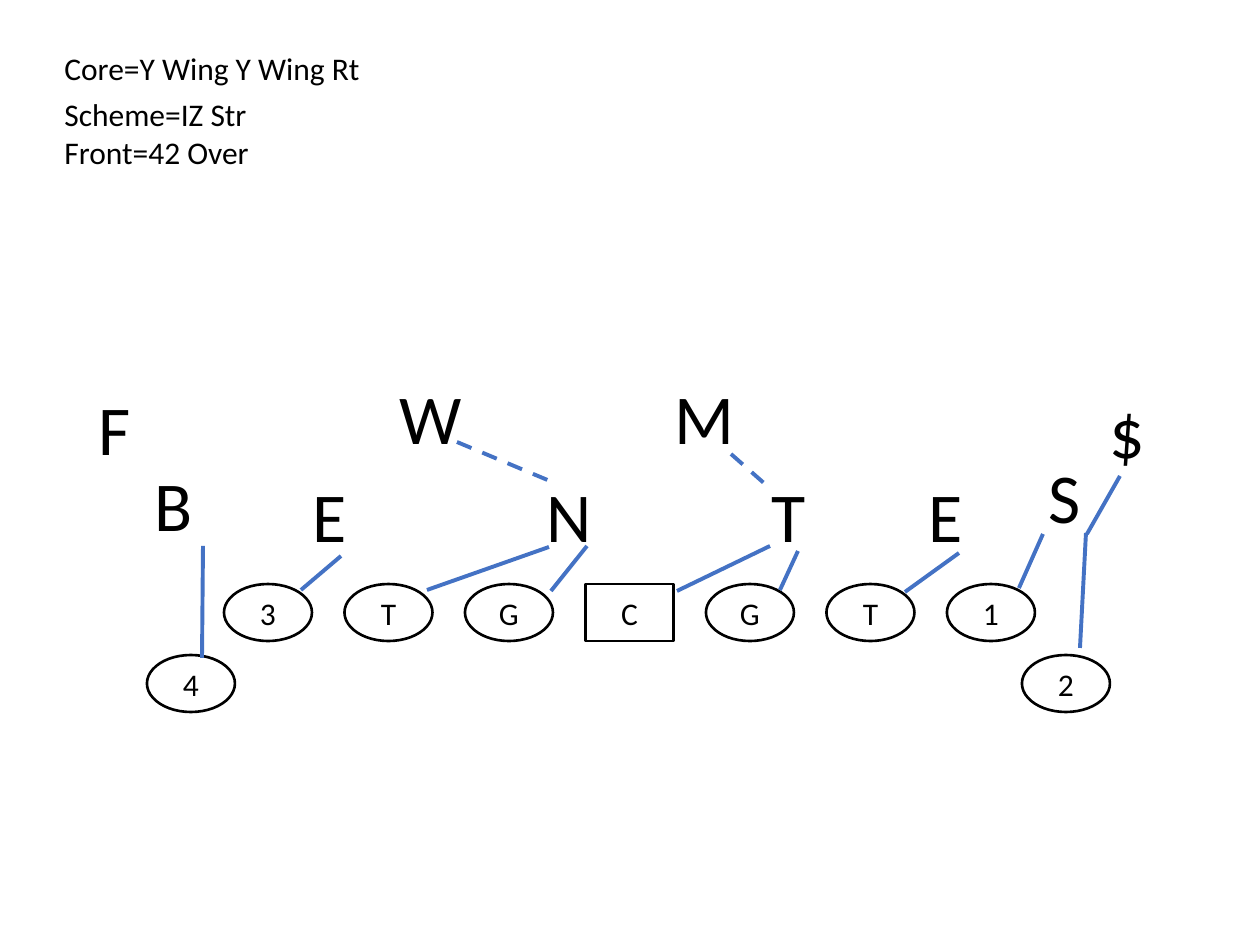
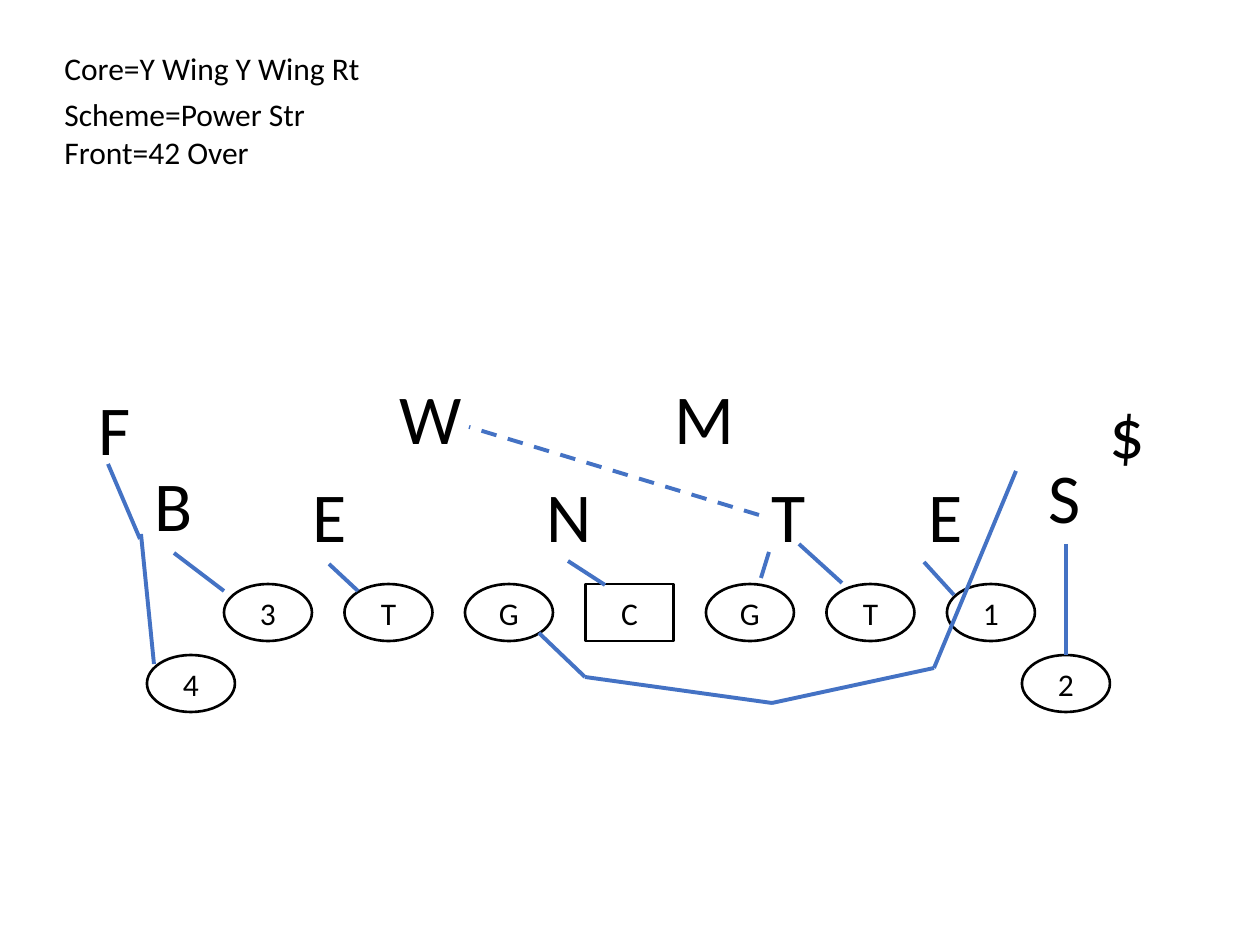
from itertools import pairwise

from lxml.etree import SubElement
from pptx import Presentation
from pptx.dml.color import RGBColor as Rgb
from pptx.enum.dml import MSO_LINE as Dash
from pptx.enum.shapes import MSO_CONNECTOR as Conn, MSO_SHAPE as Kind
from pptx.enum.text import MSO_ANCHOR as Anchor, MSO_AUTO_SIZE as Fit, PP_ALIGN as Align
from pptx.oxml.ns import qn
from pptx.util import Emu, Pt

COLORS = {"ink": "000000", "paper": "FFFFFF", "block": "4472C4"}
FONT = "Calibri"
NOTE_SIZE, SPOT_SIZE, MARK_SIZE = 18, 18, 40

# Offense: the line is evenly spaced, the wings stand a step back
SPOT_W, SPOT_H = 88, 57
LINE_LEFT, LINE_TOP, LINE_STEP = 224, 584, 120.5
LINEMEN = "3TGCGT1"
WINGS = [("4", 147), ("2", 1022)]
WING_TOP = 655

# Defense: letter, left, top, width
MARK_H = 97
DEFENSE = [
    ("F", 86, 379, 44), ("B", 142, 455, 64), ("E", 300, 466, 60),
    ("W", 387, 368, 88), ("N", 534, 466, 71), ("M", 662, 368, 88),
    ("T", 759, 466, 60), ("E", 916, 466, 60), ("S", 1036, 447, 60),
    ("$", 1097, 382, 49),
]

# Block paths run through points; reads are dashed
ZONE_BLOCKS = [
    [(1043, 534), (1019, 588)],
    [(1086, 533), (1080, 648)],
    [(1120, 476), (1087, 534)],
    [(959, 553), (905, 592)],
    [(798, 551), (780, 590)],
    [(770, 546), (677, 591)],
    [(587, 546), (551, 591)],
    [(549, 547), (427, 590)],
    [(341, 556), (301, 590)],
    [(203, 546), (202, 658)],
]
ZONE_READS = [[(731, 454), (765, 484)], [(457, 442), (557, 484)]]

POWER_BLOCKS = [
    [(329, 564), (358, 591)],
    [(568, 561), (605, 585)],
    [(924, 562), (954, 595)],
    [(174, 553), (224, 591)],
    [(141, 534), (154, 664)],
    [(140, 539), (108, 464)],
    [(769, 552), (761, 578)],
    [(799, 544), (842, 583)],
    [(539, 633), (585, 677), (772, 703), (934, 668), (1016, 471)],
]
POWER_READS = [[(759, 515), (469, 427)]]
WING_BLOCK = [(1066, 544), (1066, WING_TOP)]


def px(n):
    return Emu(round(n * 914400 / 126))


def color(name):
    return Rgb.from_string(COLORS[name])


def add_run(frame, text, size):
    run = frame.paragraphs[0].add_run()
    run.text = text
    run.font.name = FONT
    run.font.size = Pt(size)
    run.font.color.rgb = color("ink")


def add_label(slide, text, left, top, width, height, size, wrap):
    box = slide.shapes.add_textbox(px(left), px(top), px(width), px(height))
    frame = box.text_frame
    frame.word_wrap = wrap
    frame.auto_size = Fit.SHAPE_TO_FIT_TEXT
    add_run(frame, text, size)


def add_note(slide, text, top, width):
    add_label(slide, text, 52, top, width, 50, NOTE_SIZE, False)


def add_spot(slide, text, left, top):
    kind = Kind.RECTANGLE if text == "C" else Kind.OVAL
    spot = slide.shapes.add_shape(kind, px(left), px(top), px(SPOT_W), px(SPOT_H))
    spot.shadow.inherit = False
    spot.fill.solid()
    spot.fill.fore_color.rgb = color("paper")
    spot.line.color.rgb = color("ink")
    spot.line.width = Pt(1.5)
    frame = spot.text_frame
    frame.vertical_anchor = Anchor.MIDDLE
    frame.paragraphs[0].alignment = Align.CENTER
    add_run(frame, text, SPOT_SIZE)
    return spot


def add_line(slide, start, end, dashed=False):
    line = slide.shapes.add_connector(Conn.STRAIGHT, *map(px, start + end))
    line.line.color.rgb = color("block")
    line.line.width = Pt(2.25)
    if dashed:
        line.line.dash_style = Dash.DASH
    SubElement(line._element.spPr, qn("a:effectLst"))
    return line


def add_paths(slide, paths, dashed=False):
    for path in paths:
        for start, end in pairwise(path):
            add_line(slide, start, end, dashed)


def add_play(deck, scheme, width, blocks, reads):
    """Draw one play and return its slide and wing spots by name."""
    slide = deck.slides.add_slide(deck.slide_layouts[6])
    # Call sheet
    add_note(slide, "Core=Y Wing Y Wing Rt", 43, 324)
    add_note(slide, f"Scheme={scheme}", 89, width)
    add_note(slide, "Front=42 Over", 127, 219)
    # Players
    for i, name in enumerate(LINEMEN):
        add_spot(slide, name, LINE_LEFT + i * LINE_STEP, LINE_TOP)
    wings = {name: add_spot(slide, name, left, WING_TOP) for name, left in WINGS}
    for name, left, top, wide in DEFENSE:
        add_label(slide, name, left, top, wide, MARK_H, MARK_SIZE, True)
    # Assignments
    add_paths(slide, blocks)
    add_paths(slide, reads, dashed=True)
    return slide, wings


def main():
    deck = Presentation()
    deck.slide_width, deck.slide_height = px(1260), px(945)
    add_play(deck, "IZ Str", 217, ZONE_BLOCKS, ZONE_READS)
    slide, wings = add_play(deck, "Power Str", 268, POWER_BLOCKS, POWER_READS)
    add_line(slide, *WING_BLOCK).end_connect(wings["2"], 0)
    deck.save("out.pptx")


if __name__ == "__main__":
    main()
